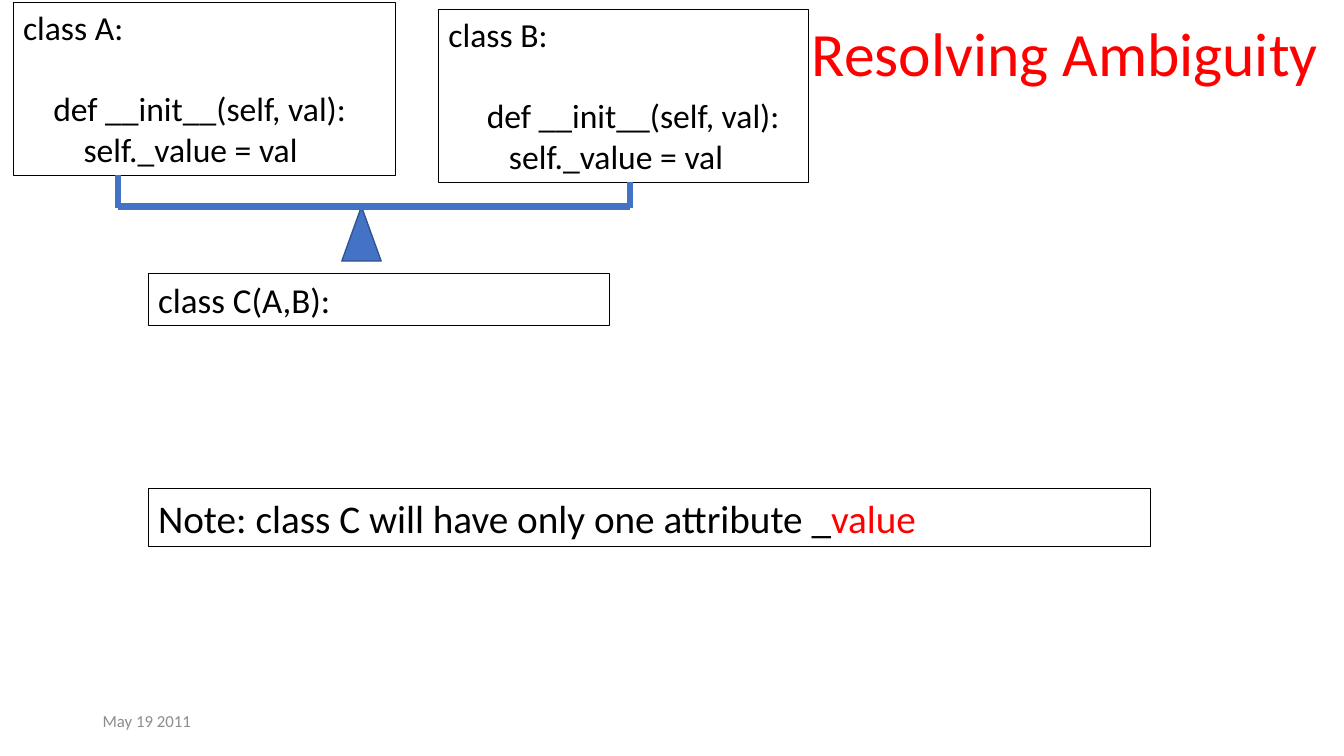
from lxml import etree
from pptx import Presentation
from pptx.dml.color import RGBColor
from pptx.enum.shapes import MSO_CONNECTOR, MSO_SHAPE
from pptx.enum.text import MSO_ANCHOR, MSO_AUTO_SIZE, PP_ALIGN
from pptx.oxml.ns import qn
from pptx.util import Inches, Pt

RECTANGLE, TRIANGLE = MSO_SHAPE.RECTANGLE, MSO_SHAPE.ISOSCELES_TRIANGLE
STRAIGHT = MSO_CONNECTOR.STRAIGHT
MIDDLE, TOP = MSO_ANCHOR.MIDDLE, MSO_ANCHOR.TOP
LEFT = PP_ALIGN.LEFT
NO_FIT, GROW = MSO_AUTO_SIZE.NONE, MSO_AUTO_SIZE.SHAPE_TO_FIT_TEXT

COLORS = {"ink": "000000", "accent": "FF0000", "blue": "4472C4",
          "blue_edge": "325491", "muted": "8C8C8C"}
FONT = "Calibri"
SLIDE_W, SLIDE_H = 13.33, 7.5
CODE_SIZE = 24
BLANK_LINE = Pt(1.22 * CODE_SIZE)


def rgb(name):
    return RGBColor.from_string(COLORS[name])


def format_frame(frame, **values):
    settings = {"word_wrap": True, "vertical_anchor": TOP, "auto_size": NO_FIT}
    for name, value in (settings | values).items():
        setattr(frame, name, value)


def add_run(paragraph, wording, size, color="ink"):
    run = paragraph.add_run()
    run.text = wording
    for name, value in {"name": FONT, "size": Pt(size), "bold": False}.items():
        setattr(run.font, name, value)
    run.font.color.rgb = rgb(color)


def add_filled(slide, kind, box, fill, edge, width):
    shape = slide.shapes.add_shape(kind, *map(Inches, box))
    shape.shadow.inherit = False
    if fill:
        shape.fill.solid()
        shape.fill.fore_color.rgb = rgb(fill)
    else:
        shape.fill.background()
    shape.line.color.rgb = rgb(edge)
    shape.line.width = Pt(width)
    return shape


def add_framed_text(slide, box, runs, size):
    """Draw an outlined box whose first paragraph holds (wording, color) runs."""
    frame = add_filled(slide, RECTANGLE, box, None, "ink", 0.75).text_frame
    format_frame(frame, auto_size=GROW)
    heading = frame.paragraphs[0]
    heading.alignment = LEFT
    for wording, color in runs:
        add_run(heading, wording, size, color)
    return frame


def add_parent_class(slide, box, class_name, method_indent):
    frame = add_framed_text(slide, box, [(f"class {class_name}:", "ink")], CODE_SIZE)
    code = [("def __init__(self, val):", method_indent, BLANK_LINE),
            ("self._value = val", 0.6, 0)]
    for wording, indent, gap in code:
        line = frame.add_paragraph()
        line.alignment = LEFT
        line.space_before = gap
        line._p.get_or_add_pPr().set("marL", str(Inches(indent)))
        add_run(line, wording, CODE_SIZE)


def add_branch(slide, start, end):
    branch = slide.shapes.add_connector(STRAIGHT, *map(Inches, start + end))
    branch.line.color.rgb = rgb("blue")
    branch.line.width = Pt(4.5)
    etree.SubElement(branch._element.spPr, qn("a:effectLst"))


def add_inheritance_diagram(slide, left, top):
    parents = [("A", (left, top, 3.79, 1.72), 0.3, 1.04),
               ("B", (left + 4.22, top + 0.07, 3.67, 1.72), 0.38, 1.9)]
    bar_y = top + 2.03
    joints = []
    for class_name, box, indent, leg_offset in parents:
        add_parent_class(slide, box, class_name, indent)
        joints.append((box[0] + leg_offset, box[1] + box[3]))
    add_filled(slide, TRIANGLE, (left + 3.26, bar_y, 0.39, 0.54),
               "blue", "blue_edge", 1)
    add_framed_text(slide, (left + 1.34, top + 2.69, 4.58, 0.52),
                    [("class C(A,B):", "ink")], 25)
    add_branch(slide, (joints[0][0], bar_y), (joints[1][0], bar_y))
    for x, y in joints:
        add_branch(slide, (x, y), (x, bar_y + 0.01))


def add_title(slide, box):
    title = slide.shapes.title
    for name, value in zip(("left", "top", "width", "height"), box):
        setattr(title, name, Inches(value))
    format_frame(title.text_frame, vertical_anchor=MIDDLE)
    line = title.text_frame.paragraphs[0]
    line.alignment = LEFT
    line.line_spacing = 0.9
    add_run(line, "Resolving Ambiguity", 44, "accent")


def add_date(slide, box):
    frame = slide.shapes.add_textbox(*map(Inches, box)).text_frame
    format_frame(frame, vertical_anchor=MIDDLE)
    add_run(frame.paragraphs[0], "May 19 2011", 12, "muted")


def main():
    deck = Presentation()
    deck.slide_width, deck.slide_height = Inches(SLIDE_W), Inches(SLIDE_H)
    slide = deck.slides.add_slide(deck.slide_layouts[5])
    add_date(slide, (0.92, SLIDE_H - 0.55, 3, 0.4))
    add_title(slide, (7.95, -0.16, 15.25, 1.45))
    add_inheritance_diagram(slide, 0.13, 0.02)
    note = [("Note: class C will have only one attribute _", "ink"),
            ("value", "accent")]
    add_framed_text(slide, (1.47, 4.85, 9.94, 0.57), note, 28)
    deck.save("out.pptx")


if __name__ == "__main__":
    main()
